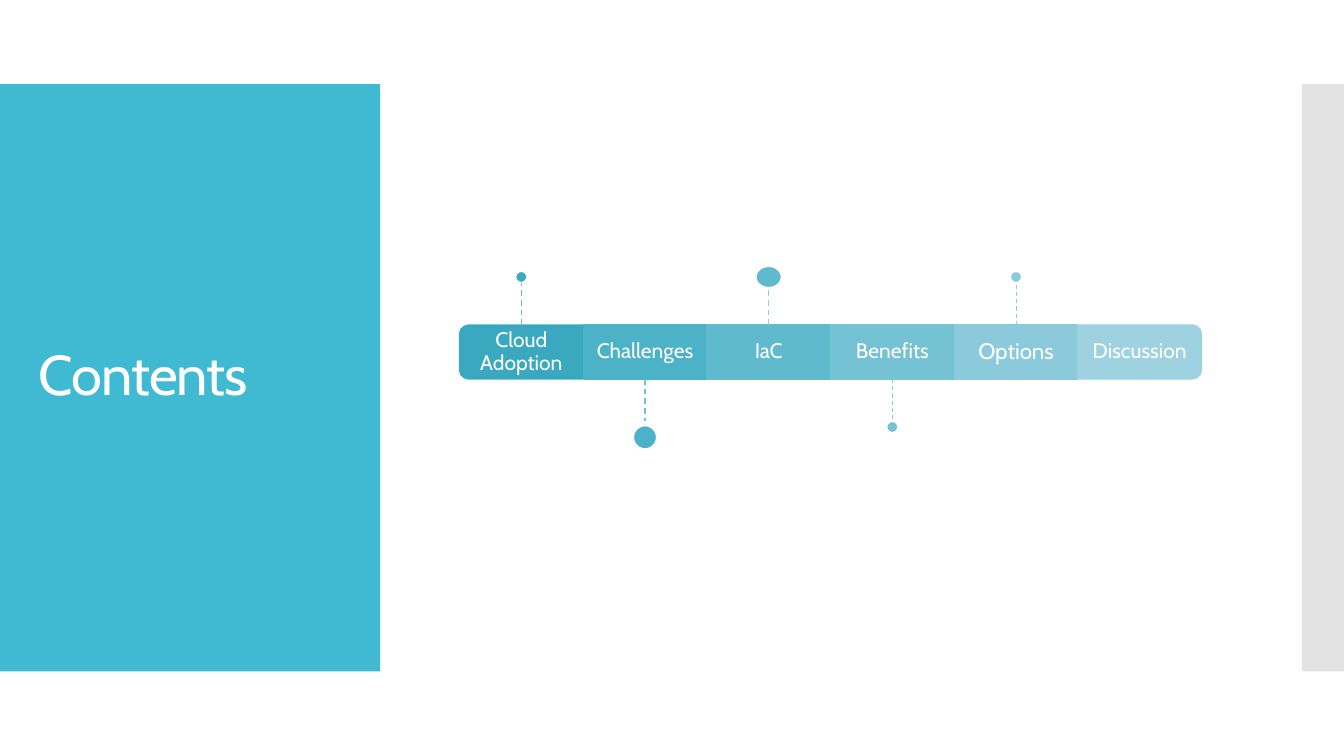
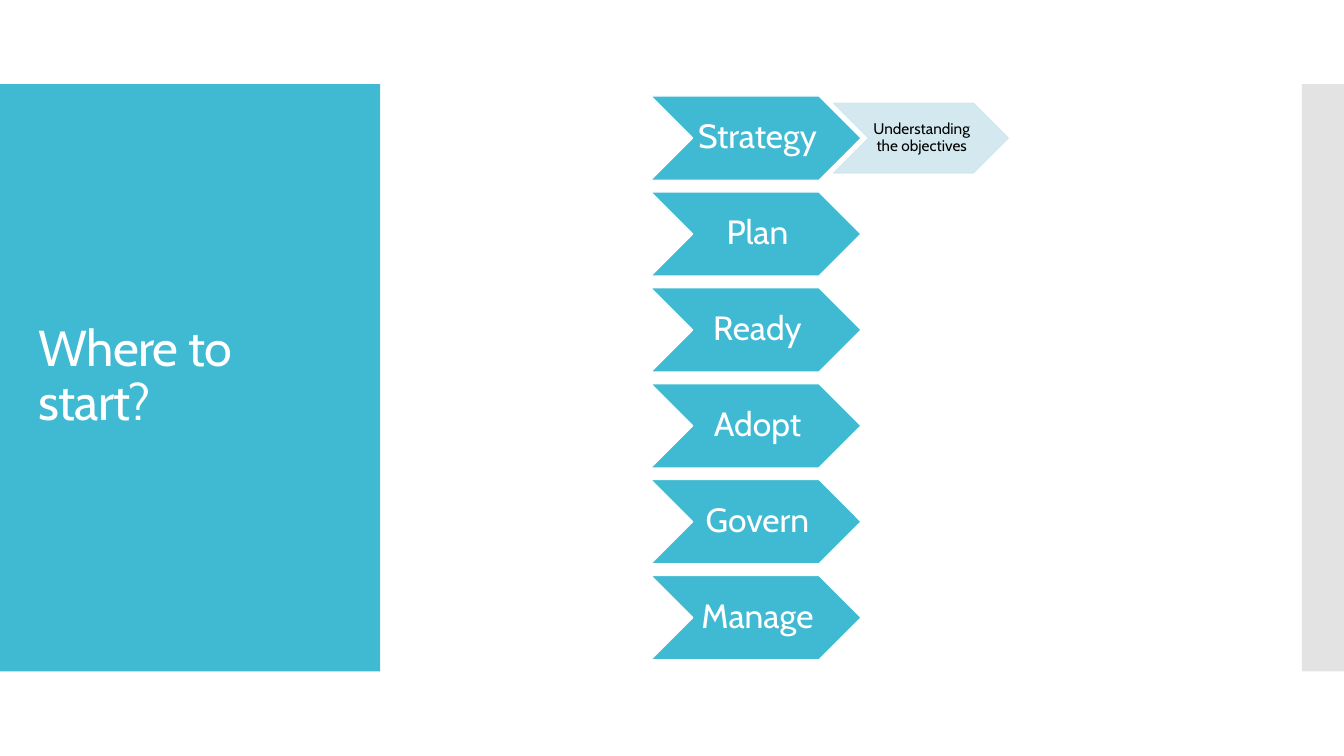
"""Build the contents bar and the adoption chevrons as two slides."""
from dataclasses import dataclass

import pptx
import pptx.dml.color
import pptx.enum.dml
import pptx.enum.shapes
import pptx.enum.text
import pptx.oxml
import pptx.oxml.ns
import pptx.util
from lxml import etree

Cm = pptx.util.Cm
Pt = pptx.util.Pt
Shape = pptx.enum.shapes.MSO_SHAPE
Align = pptx.enum.text.PP_ALIGN
Anchor = pptx.enum.text.MSO_ANCHOR
qn = pptx.oxml.ns.qn


@dataclass(frozen=True)
class Theme:
    font: str = "Cabin"
    accent: str = "40BAD2"
    edge: str = "C8C8C8"
    pale: str = "CFE7EE"
    white: str = "FFFFFF"
    black: str = "000000"
    outline: float = 0.85
    title_spacing: int = -60
    line_spacing: float = 0.9
    step_size: int = 24
    detail_size: int = 11


THEME = Theme()
SLIDE = (33.87, 19.05)
BANDS = [((0, 2.12, 9.58, 14.8), THEME.accent, 100),
         ((32.81, 2.12, 1.06, 14.8), THEME.edge, 50)]
TITLE_BOX = (0.72, 3.12, 8.17, 12.78)

CONTENTS_TITLE = ("Contents", 40)
TOPICS = [("Cloud Adoption", "3AA9BF", 15),
          ("Challenges", "4CB2C8", 15),
          ("IaC", "60BACE", 15),
          ("Benefits", "75C2D4", 15),
          ("Options", "8ACADB", 16),
          ("Discussion", "9ED2E1", 15)]
MARKERS = [
    {"color": "5CBDD4", "weight": 1, "dot": (0.28, 0.28), "reach": 0.14},
    {"color": "6CC3D9", "weight": 1, "dot": (0.58, 0.58), "reach": 0.4},
    {"color": "96CADC", "weight": 1, "dot": (0.64, 0.53), "reach": 0.14},
    {"color": "8ACBDC", "weight": 0.75, "dot": (0.28, 0.28), "reach": 0.14},
    {"color": "8ACBDC", "weight": 0.75, "dot": (0.28, 0.28), "reach": 0.14},
]
BAR = (11.58, 8.19, 18.7, 1.36)
STEM = 1.07

START_TITLE = ("Where to start?", 36)
STEPS = ["Strategy", "Plan", "Ready", "Adopt", "Govern", "Manage"]
DETAIL = "Understanding the objectives"
FIRST_STEP = (16.4, 2.42, 5.3, 2.12)
STEP_PITCH = 1.14
DETAIL_LEFT = 21.01
DETAIL_SCALE = 0.83


def rgb(color):
    return pptx.dml.color.RGBColor.from_string(color)


def lengths(values):
    return [Cm(value) for value in values]


def add_block(page, kind, box, fill, line=None, opacity=100):
    shape = page.shapes.add_shape(kind, *lengths(box))
    shape.shadow.inherit = False
    shape.fill.solid()
    shape.fill.fore_color.rgb = rgb(fill)
    if line:
        shape.line.color.rgb = rgb(line)
        shape.line.width = Pt(THEME.outline)
    else:
        shape.line.fill.background()
    if opacity < 100:
        for color in list(shape.element.spPr.iter(qn("a:srgbClr"))):
            etree.SubElement(color, qn("a:alpha")).set("val", str(opacity * 1000))
    return shape


def write(shape, text, size, color, align=Align.CENTER, insets=None):
    frame = shape.text_frame
    frame.text = text
    frame.word_wrap = True
    frame.auto_size = pptx.enum.text.MSO_AUTO_SIZE.NONE
    frame.vertical_anchor = Anchor.MIDDLE
    if insets:
        (frame.margin_left, frame.margin_top,
         frame.margin_right, frame.margin_bottom) = lengths(insets)
    para = frame.paragraphs[0]
    para.alignment = align
    para.line_spacing = THEME.line_spacing
    span = para.runs[0]
    span.font.name = THEME.font
    span.font.size = Pt(size)
    span.font.color.rgb = rgb(color)
    return span


def prepare_layout(deck, page):
    layout = page.slide_layout
    for holder in list(layout.placeholders):
        if holder.placeholder_format.type == pptx.enum.shapes.PP_PLACEHOLDER.TITLE:
            holder.left, holder.top, holder.width, holder.height = lengths(TITLE_BOX)
        else:
            holder.element.getparent().remove(holder.element)
    for position, (box, color, opacity) in enumerate(BANDS, start=2):
        band = add_block(page, Shape.RECTANGLE, box, color, opacity=opacity)
        layout.shapes.element.insert(position, band.element)


def add_page(deck, title):
    text, size = title
    page = deck.slides.add_slide(deck.slide_layouts[5])
    span = write(page.shapes.title, text, size, THEME.white, Align.LEFT)
    span.font._element.set("spc", str(THEME.title_spacing))
    return page


def add_topic(page, box, topic, turn):
    text, color, size = topic
    left, top, width, height = box
    if turn:
        upright = (left + (width - height) / 2, top + (height - width) / 2, height, width)
        segment = add_block(page, Shape.ROUND_2_SAME_RECTANGLE, upright, color, color)
        segment.rotation = turn
        label = page.shapes.add_textbox(*lengths(box))
    else:
        segment = add_block(page, Shape.RECTANGLE, box, color, color)
        label = segment
    write(label, text, size, THEME.white, insets=(0.3,) * 4)
    return segment


def add_marker(page, segment, box, marker, dot_color, above):
    left, top, width, height = box
    center = left + width / 2
    side, start, direction = (0, top, -1) if above else (2, top + height, 1)
    end = start + direction * STEM
    stem = page.shapes.add_connector(
        pptx.enum.shapes.MSO_CONNECTOR.STRAIGHT, *lengths((center, start, center, end)))
    if not segment.rotation:
        stem.begin_connect(segment, side)
    stem.line.color.rgb = rgb(marker["color"])
    stem.line.width = Pt(marker["weight"])
    stem.line.dash_style = pptx.enum.dml.MSO_LINE.DASH
    etree.SubElement(stem.element.spPr, qn("a:effectLst"))
    dot_width, dot_height = marker["dot"]
    middle = end + direction * marker["reach"]
    dot = (center - dot_width / 2, middle - dot_height / 2, dot_width, dot_height)
    add_block(page, Shape.OVAL, dot, dot_color, THEME.white)


def build_contents(page):
    left, top, bar_width, height = BAR
    width = bar_width / len(TOPICS)
    turns = {0: 270, len(TOPICS) - 1: 90}
    for index, topic in enumerate(TOPICS):
        box = (left + index * width, top, width, height)
        segment = add_topic(page, box, topic, turns.get(index, 0))
        if index < len(MARKERS):
            add_marker(page, segment, box, MARKERS[index], topic[1], index % 2 == 0)


def build_start(page):
    left, top, width, height = FIRST_STEP
    for index, text in enumerate(STEPS):
        box = (left, top + index * height * STEP_PITCH, width, height)
        step = add_block(page, Shape.CHEVRON, box, THEME.accent, THEME.white)
        write(step, text, THEME.step_size, THEME.white, insets=(0.08, 0.04, 0, 0.04))
    small = height * DETAIL_SCALE
    box = (DETAIL_LEFT, top + (height - small) / 2, width * DETAIL_SCALE, small)
    detail = add_block(page, Shape.CHEVRON, box, THEME.pale, THEME.pale, opacity=90)
    write(detail, DETAIL, THEME.detail_size, THEME.black, insets=(0.04, 0.03, 0, 0.03))


def main():
    deck = pptx.Presentation()
    deck.slide_width, deck.slide_height = lengths(SLIDE)
    contents = add_page(deck, CONTENTS_TITLE)
    prepare_layout(deck, contents)
    build_contents(contents)
    build_start(add_page(deck, START_TITLE))
    deck.save("out.pptx")


if __name__ == "__main__":
    main()
